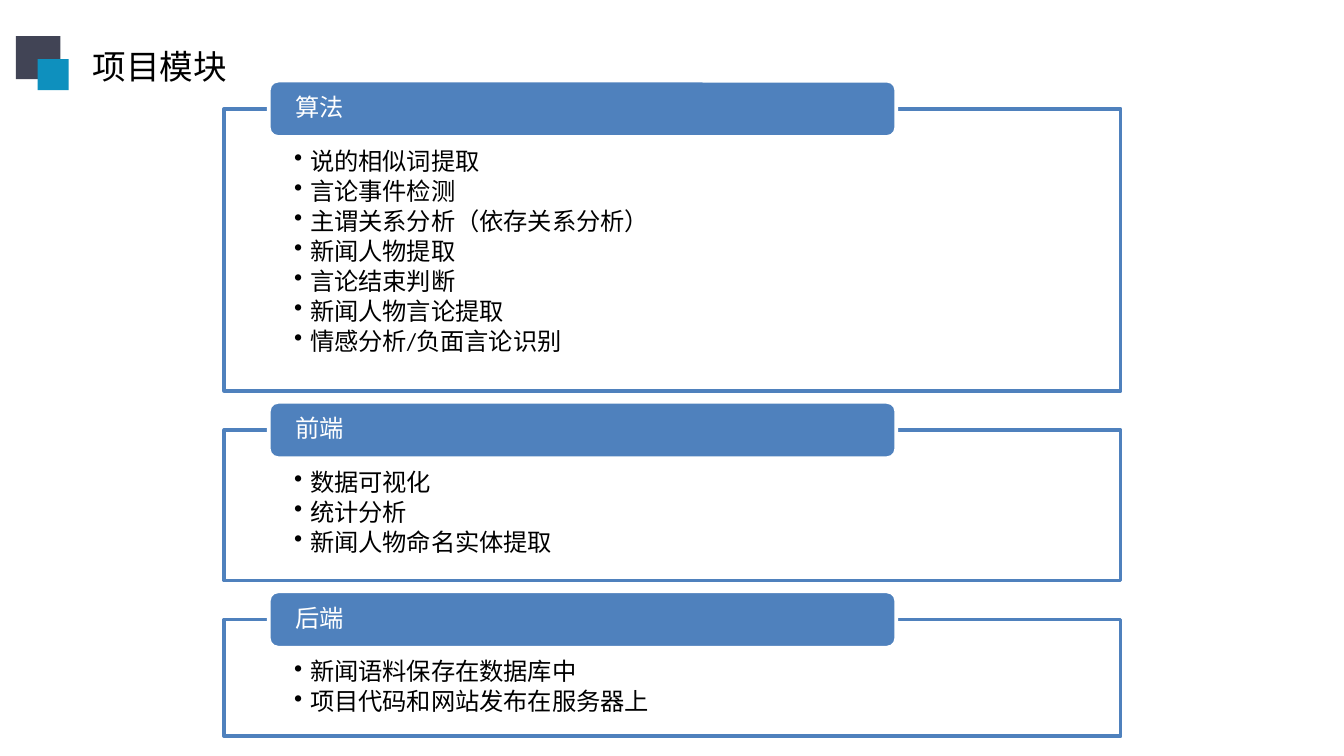
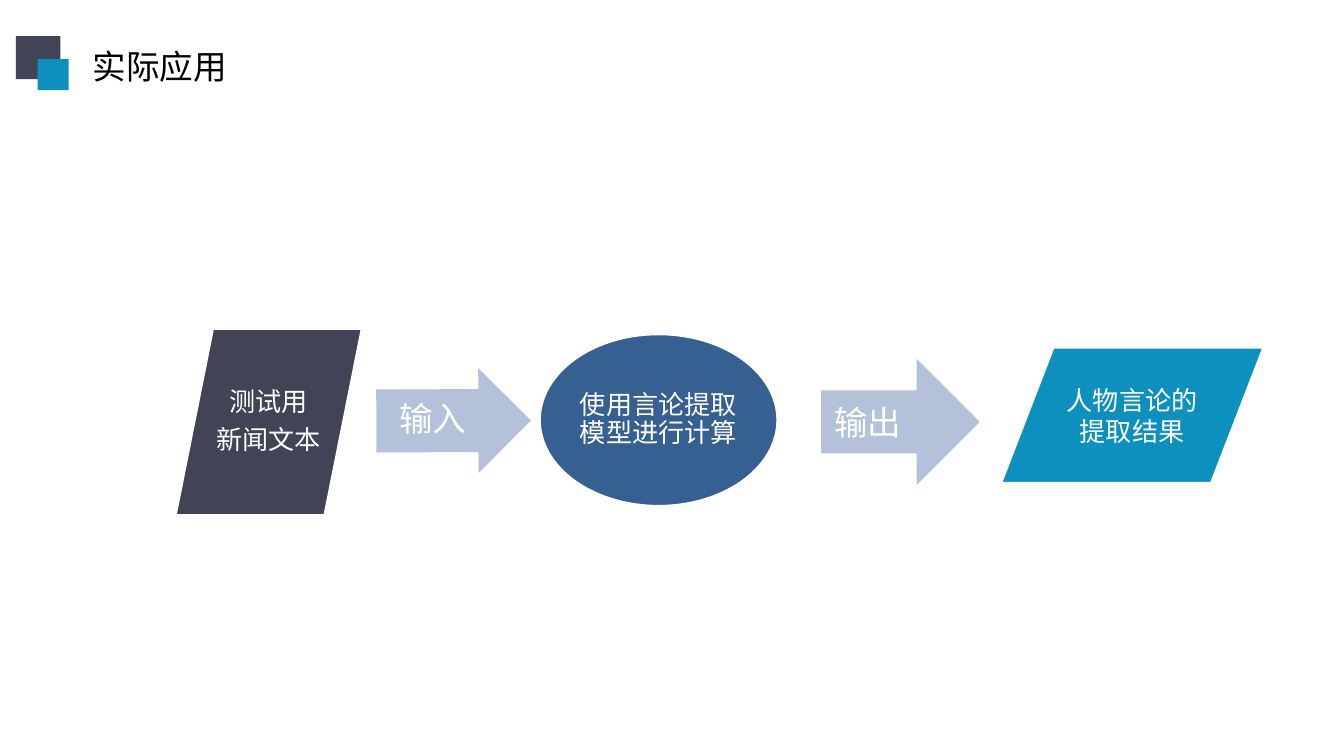
from lxml.etree import SubElement
from pptx import Presentation
from pptx.dml.color import RGBColor
from pptx.enum.shapes import MSO_SHAPE as Shape
from pptx.enum.text import MSO_ANCHOR as Anchor, PP_ALIGN as Align
from pptx.oxml.ns import qn
from pptx.util import Pt

BLACK = RGBColor(0x00, 0x00, 0x00)
WHITE = RGBColor(0xFF, 0xFF, 0xFF)
DARK = RGBColor(0x41, 0x44, 0x55)
TEAL = RGBColor(0x0E, 0x90, 0xBE)
BLUE = RGBColor(0x4F, 0x81, 0xBD)
NAVY = RGBColor(0x37, 0x60, 0x92)
PALE = RGBColor(0xB3, 0xC1, 0xDB)

CJK, MONO, LATIN = "Noto Sans CJK SC", "Noto Sans Mono", "Calibri"

MODULES_TITLE = "项目模块"
MODULES = [
    ("算法", 151.2, [
        "说的相似词提取",
        "言论事件检测",
        "主谓关系分析（依存关系分析）",
        "新闻人物提取",
        "言论结束判断",
        "新闻人物言论提取",
        "情感分析/负面言论识别",
    ]),
    ("前端", 80.6, ["数据可视化", "统计分析", "新闻人物命名实体提取"]),
    ("后端", 62.6, ["新闻语料保存在数据库中", "项目代码和网站发布在服务器上"]),
]

FLOW_TITLE = "实际应用"
TIGHT = (1.4, 1.4, 1.4, 1.4)
INSET = (7.2, 3.6, 7.2, 3.6)
DENSE = dict(spacing=0.9, after=4.9)
FLOW = [
    (Shape.FLOWCHART_DATA, (93.6, 175.7, 100.8, 100.8), DARK, WHITE,
     ["测试用", "新闻文本"], dict(size=14, font=MONO, margins=TIGHT, **DENSE)),
    (Shape.RIGHT_ARROW, (201.6, 197.3, 82.8, 56.2), PALE, None,
     ["输入"], dict(size=18, font=CJK, margins=(0, 0, 5.4, 0), **DENSE)),
    (Shape.OVAL, (288.7, 178.6, 128.2, 92.9), NAVY, WHITE,
     ["使用言论提取模型进行计算"], dict(size=14, font=CJK, margins=TIGHT, **DENSE)),
    (Shape.RIGHT_ARROW, (439.9, 192.2, 85, 67.7), PALE, None,
     ["输出"], dict(size=18, font=CJK, margins=INSET, align=Align.LEFT)),
    (Shape.FLOWCHART_DATA, (535.7, 185.8, 141.8, 73.4), TEAL, WHITE,
     ["人物言论的提取结果"], dict(size=14, font=MONO, margins=INSET)),
]

FRAME_LEFT, FRAME_WIDTH = 120.2, 480.2
HEADER_LEFT, HEADER_WIDTH, HEADER_HEIGHT = 144, 336.2, 30.2
FIRST_TOP, HEADER_RISE, MODULE_GAP = 43.2, 15.1, 5.8


def add_shape(slide, kind, box, fill, line=None):
    sp = slide.shapes.add_shape(kind, *map(Pt, box))
    sp.shadow.inherit = False
    sp.fill.solid()
    sp.fill.fore_color.rgb = fill
    if line is None:
        sp.line.fill.background()
    else:
        sp.line.color.rgb = line
        sp.line.width = Pt(2)
    return sp


def set_bullet(p):
    pPr = p._p.get_or_add_pPr()
    pPr.set("marL", str(Pt(8.6)))
    pPr.set("indent", str(-Pt(8.6)))
    SubElement(pPr, qn("a:buChar"), char="•")


def write(sp, lines, size, font, color=WHITE, margins=INSET, align=Align.CENTER,
          anchor=Anchor.MIDDLE, spacing=None, after=None, bullet=False, wrap=True):
    tf = sp.text_frame
    tf.word_wrap = wrap
    tf.vertical_anchor = anchor
    tf.margin_left, tf.margin_top, tf.margin_right, tf.margin_bottom = map(Pt, margins)
    for i, line in enumerate(lines):
        p = tf.add_paragraph() if i else tf.paragraphs[0]
        p.alignment = align
        if spacing:
            p.line_spacing = spacing
            p.space_after = Pt(after)
        if bullet:
            set_bullet(p)
        r = p.add_run()
        r.text = line
        r.font.size = Pt(size)
        r.font.name = font
        r.font.color.rgb = color


def add_titled_slide(prs, title):
    s = prs.slides.add_slide(prs.slide_layouts[6])
    box = s.shapes.add_textbox(Pt(42.5), Pt(20.9), Pt(87.1), Pt(28.8))
    write(box, [title], 18, CJK, BLACK, align=Align.LEFT, anchor=Anchor.TOP, wrap=False)
    add_shape(s, Shape.RECTANGLE, (8.6, 19.4, 23.8, 23), DARK)
    add_shape(s, Shape.RECTANGLE, (20.2, 31.7, 16.6, 16.6), TEAL)
    return s


def add_modules(prs):
    s = add_titled_slide(prs, MODULES_TITLE)
    top = FIRST_TOP
    for name, height, items in MODULES:
        frame_top = top + HEADER_RISE
        frame = add_shape(s, Shape.RECTANGLE,
                          (FRAME_LEFT, frame_top, FRAME_WIDTH, height), WHITE, BLUE)
        write(frame, items, 13, LATIN, BLACK, margins=(37.4, 21.6, 37.4, 7.2),
              align=Align.LEFT, anchor=Anchor.TOP, spacing=0.9, after=2, bullet=True)
        header = add_shape(s, Shape.ROUNDED_RECTANGLE,
                           (HEADER_LEFT, top, HEADER_WIDTH, HEADER_HEIGHT), BLUE, WHITE)
        write(header, [name], 13, LATIN, margins=(13, 0, 13, 0),
              align=Align.LEFT, **DENSE)
        top = frame_top + height + MODULE_GAP


def add_flow(prs):
    s = add_titled_slide(prs, FLOW_TITLE)
    shapes = []
    for kind, box, fill, line, lines, style in FLOW:
        sp = add_shape(s, kind, box, fill, line)
        write(sp, lines, **style)
        shapes.append(sp)
    input_arrow = shapes[1]
    input_arrow.adjustments[0] = 0.6
    input_arrow.rotation = 359.8


def main():
    prs = Presentation()
    prs.slide_width, prs.slide_height = Pt(720), Pt(405)
    add_modules(prs)
    add_flow(prs)
    prs.save("out.pptx")


if __name__ == "__main__":
    main()
